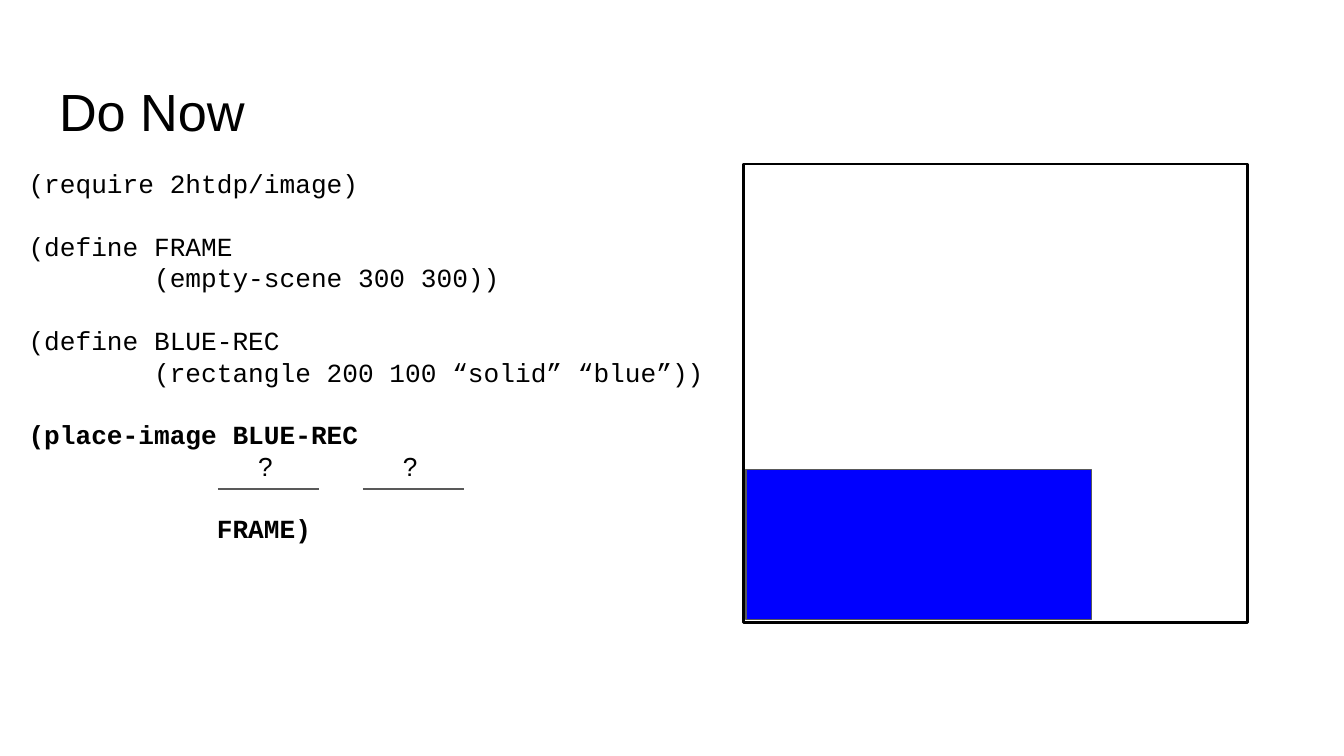
"""Build the "Do Now" slide: image-placing code beside the scene it should draw."""
from lxml import etree
from pptx import Presentation
from pptx import util as u
from pptx.dml.color import RGBColor
from pptx.enum import shapes, text
from pptx.oxml.ns import qn

THEME = {
    "ink": RGBColor(0, 0, 0),
    "paper": RGBColor(255, 255, 255),
    "blue": RGBColor(0, 0, 255),
    "rule": RGBColor(0x59, 0x59, 0x59),
    "sans": "Arial",
    "mono": "Courier New",
    "title": 28,
    "body": 14,
    "leading": 1.2,
}

deck = Presentation()
deck.slide_width = u.Inches(10)
deck.slide_height = deck.slide_width * 9 // 16
slide = deck.slides.add_slide(deck.slide_layouts[6])
COL, ROW = deck.slide_width / 100, deck.slide_height / 100


def cells(left, top, width, height):
    return [round(n) for n in (left * COL, top * ROW, width * COL, height * ROW)]


def write(box, lines, font_name, size):
    frame = slide.shapes.add_textbox(*cells(*box)).text_frame
    layout = {"word_wrap": True, "vertical_anchor": text.MSO_ANCHOR.TOP}
    layout.update(dict.fromkeys(
        ("margin_left", "margin_top", "margin_right", "margin_bottom"), u.Inches(0.1)))
    for key, value in layout.items():
        setattr(frame, key, value)
    leading = size * THEME["leading"]
    for index, (skipped, words, bold) in enumerate(lines):
        line = frame.add_paragraph() if index else frame.paragraphs[0]
        line.line_spacing = u.Pt(leading)
        if skipped:
            line.space_before = u.Pt(skipped * leading)
        run = line.add_run()
        run.text = words
        for key, value in {"name": font_name, "size": u.Pt(size), "bold": bold}.items():
            setattr(run.font, key, value)
        run.font.color.rgb = THEME["ink"]


code = [
    (0, "(require 2htdp/image)", False),
    (1, "(define FRAME", False),
    (0, "        (empty-scene 300 300))", False),
    (1, "(define BLUE-REC", False),
    (0, "        (rectangle 200 100 “solid” “blue”))", False),
    (1, "(place-image BLUE-REC", True),
    (2, "            FRAME)", True),
]
scene = [
    ((55.3, 21.71, 37.5, 60.68), "paper", "ink", 1.5),
    ((55.5, 62.08, 25.7, 19.91), "blue", "rule", 0.75),
]

write((3.41, 8.71, 93.2, 11.2), [(0, "Do Now", False)], THEME["sans"], THEME["title"])

for box, fill, outline, weight in scene:
    panel = slide.shapes.add_shape(shapes.MSO_SHAPE.RECTANGLE, *cells(*box))
    panel.shadow.inherit = False
    panel.fill.solid()
    panel.fill.fore_color.rgb = THEME[fill]
    panel.line.color.rgb = THEME[outline]
    panel.line.width = u.Pt(weight)

write((1.14, 20.4, 63, 63.3), code, THEME["mono"], THEME["body"])

for blank_left in (16.22, 27):
    left, top, width, height = cells(blank_left, 64.71, 7.5, 0)
    blank = slide.shapes.add_connector(
        shapes.MSO_CONNECTOR.STRAIGHT, left, top, left + width, top)
    blank.line.color.rgb = THEME["rule"]
    blank.line.width = u.Pt(0.75)
    etree.SubElement(blank._element.spPr, qn("a:effectLst"))
    write((blank_left + 2, 57.78, 3.5, 6.93), [(0, "?", False)], THEME["sans"], THEME["body"])

deck.save("out.pptx")
